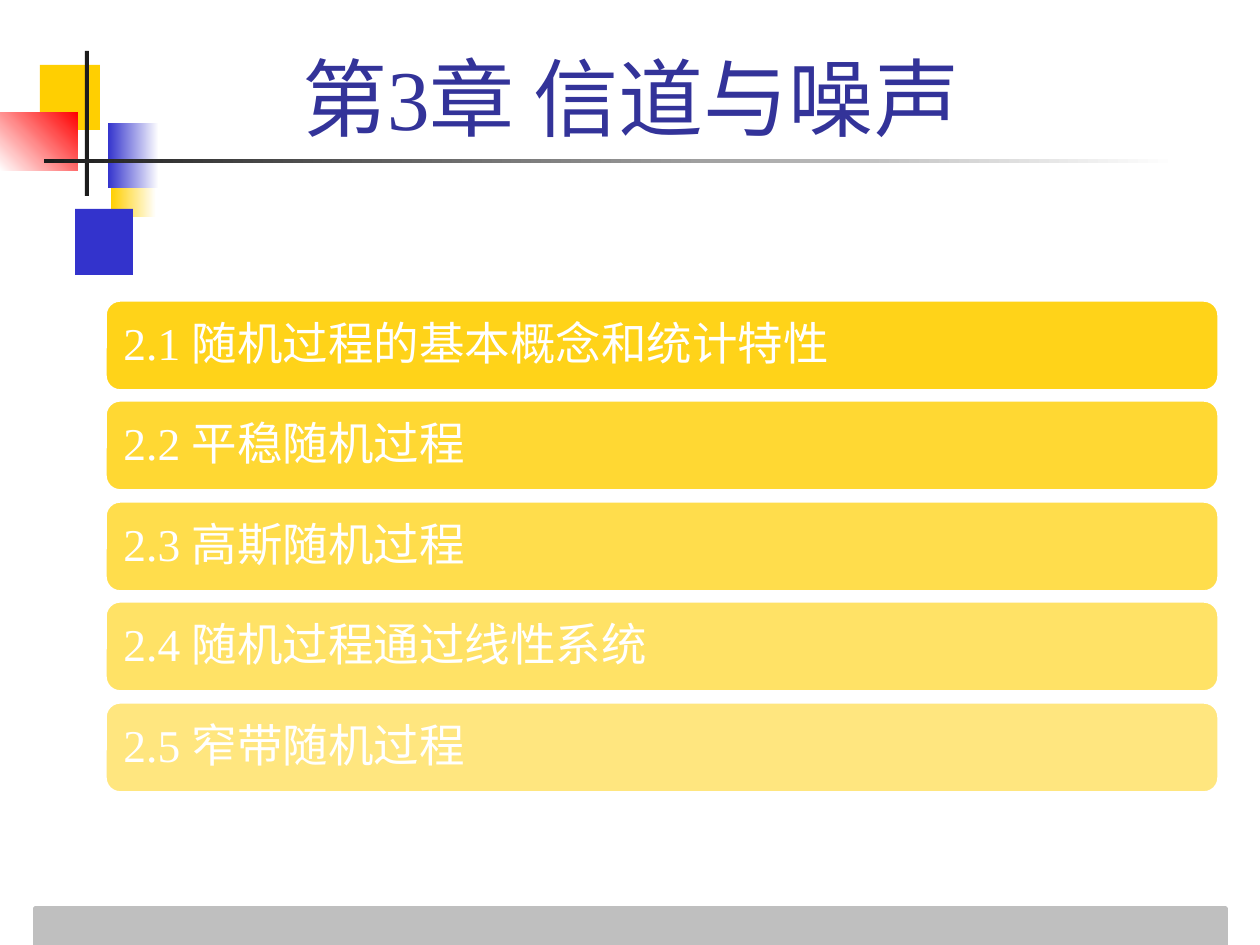
from pptx import Presentation
from pptx.dml.color import RGBColor
from pptx.enum.shapes import MSO_SHAPE
from pptx.enum.text import MSO_ANCHOR, MSO_AUTO_SIZE, PP_ALIGN
from pptx.oxml.ns import qn
from pptx.util import Emu, Pt
from lxml import etree

RECT, ROUND = MSO_SHAPE.RECTANGLE, MSO_SHAPE.ROUNDED_RECTANGLE
MIDDLE, BOTTOM = MSO_ANCHOR.MIDDLE, MSO_ANCHOR.BOTTOM
LEFT, CENTER = PP_ALIGN.LEFT, PP_ALIGN.CENTER
FIXED = MSO_AUTO_SIZE.NONE

SCALE = 914400 / 126
FONT = "Times New Roman"
COLORS = {
    "gold": "FFCF01",
    "blue": "3333CC",
    "red": "FF0000",
    "ink": "1C1C1C",
    "navy": "333399",
    "gray": "BFBFBF",
    "white": "FFFFFF",
}
TOPICS = [
    "2.1 随机过程的基本概念和统计特性",
    "2.2 平稳随机过程",
    "2.3 高斯随机过程",
    "2.4 随机过程通过线性系统",
    "2.5 窄带随机过程",
]


def px(n):
    return Emu(round(n * SCALE))


def color(name):
    return RGBColor.from_string(COLORS[name])


def add_block(slide, kind, box, fill, edge=None):
    shape = slide.shapes.add_shape(kind, *map(px, box))
    shape.shadow.inherit = False
    shape.fill.solid()
    shape.fill.fore_color.rgb = color(fill)
    if edge:
        shape.line.color.rgb = color(edge)
        shape.line.width = Pt(2)
    else:
        shape.line.fill.background()
    return shape


def add_fade(slide, box, start, end, angle=0):
    shape = add_block(slide, RECT, box, start)
    shape.fill.gradient()
    shape.fill.gradient_angle = angle
    for stop, name in zip(shape.fill.gradient_stops, (start, end)):
        stop.color.rgb = color(name)


def set_alpha(shape, percent):
    tint = shape.fill._xPr.find(qn("a:solidFill"))[0]
    etree.SubElement(tint, qn("a:alpha")).set("val", str(percent * 1000))


def write(frame, text, size, name, align, anchor):
    frame.word_wrap = True
    frame.auto_size = FIXED
    frame.vertical_anchor = anchor
    para = frame.paragraphs[0]
    para.alignment = align
    run = para.add_run()
    run.text = text
    run.font.size = Pt(size)
    run.font.name = FONT
    run.font.color.rgb = color(name)
    return para


def add_motif(slide):
    add_fade(slide, (111, 151, 45, 66), "gold", "white")
    add_block(slide, RECT, (75, 209, 58, 66), "blue")
    add_block(slide, RECT, (40, 65, 60, 65), "gold")
    add_fade(slide, (108, 123, 51, 65), "blue", "white")
    add_fade(slide, (0, 112, 78, 59), "white", "red", 45)
    add_block(slide, RECT, (85, 51, 4, 145), "ink")
    add_fade(slide, (44, 159, 1134, 4), "ink", "white")


def add_title(slide, text):
    title = slide.shapes.title
    title.left, title.top, title.width, title.height = map(px, (213, 44, 835, 110))
    write(title.text_frame, text, 48.6, "navy", CENTER, BOTTOM)


def add_topic(slide, index, text):
    top = 300 + index * 201 // 2
    bar = add_block(slide, ROUND, (105, top, 1114, 91), "gold", "white")
    set_alpha(bar, 90 - 10 * index)
    frame = bar.text_frame
    frame.margin_left = frame.margin_right = px(14)
    frame.margin_top = frame.margin_bottom = px(14)
    para = write(frame, text, 26, "white", LEFT, MIDDLE)
    para.line_spacing = 0.9


def main():
    deck = Presentation()
    deck.slide_width, deck.slide_height = px(1260), px(945)
    slide = deck.slides.add_slide(deck.slide_layouts[5])
    add_motif(slide)
    add_title(slide, "第3章 信道与噪声")
    add_block(slide, RECT, (35, 908, 1191, 37), "gray", "gray")
    for index, text in enumerate(TOPICS):
        add_topic(slide, index, text)
    deck.save("out.pptx")


if __name__ == "__main__":
    main()
